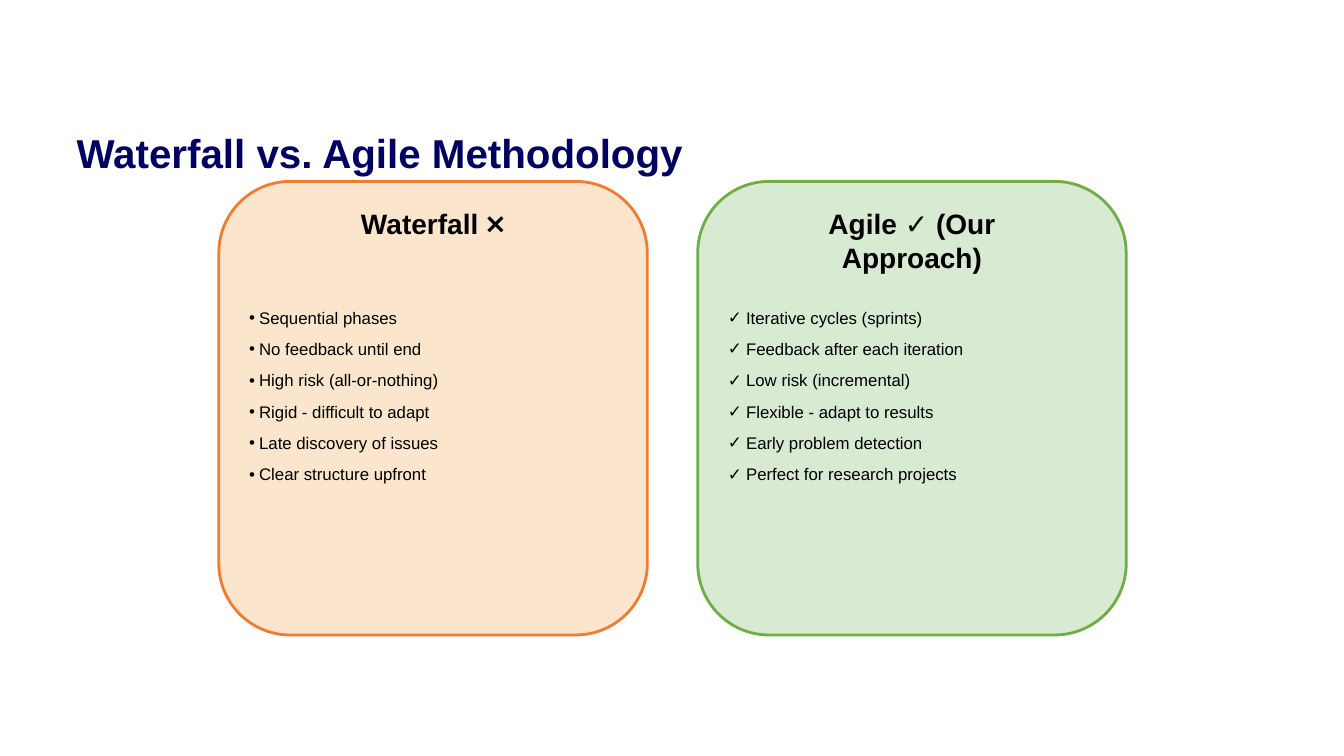
import pptx
import pptx.dml.color
import pptx.enum.shapes
import pptx.enum.text
import pptx.oxml
import pptx.oxml.ns
import pptx.util
from dataclasses import dataclass

Inches, Pt = pptx.util.Inches, pptx.util.Pt
RGB = pptx.dml.color.RGBColor.from_string
ALIGN = pptx.enum.text.PP_ALIGN
ANCHOR = pptx.enum.text.MSO_ANCHOR


@dataclass(frozen=True)
class Theme:
    font: str = "Arial"
    navy: str = "000061"
    black: str = "000000"
    title_size: float = 28.8
    heading_size: float = 20
    list_size: float = 12


theme = Theme()

# Panel grid, in inches
PANEL_LEFT, PANEL_TOP = 2.17, 1.8
PANEL_W, PANEL_H = 4.25, 4.5
PANEL_STEP = PANEL_W + 0.5

# heading, fill, line, bullet, hanging indent, items
methods = [
    ("Waterfall ❌", "FCE5CD", "ED7D31", "•", 0.1, [
        "Sequential phases",
        "No feedback until end",
        "High risk (all-or-nothing)",
        "Rigid - difficult to adapt",
        "Late discovery of issues",
        "Clear structure upfront",
    ]),
    ("Agile ✓ (Our Approach)", "D9EAD3", "70AD47", "✓", 0.18, [
        "Iterative cycles (sprints)",
        "Feedback after each iteration",
        "Low risk (incremental)",
        "Flexible - adapt to results",
        "Early problem detection",
        "Perfect for research projects",
    ]),
]


def fill_placeholder(sp, box, lines, size, color, bold, align, anchor):
    """Place a placeholder at box (inches) and write one paragraph per line."""
    sp.left, sp.top, sp.width, sp.height = map(Inches, box)
    tf = sp.text_frame
    tf.text = "\n".join(lines)
    tf.word_wrap = True
    tf.auto_size = pptx.enum.text.MSO_AUTO_SIZE.NONE
    tf.vertical_anchor = anchor
    for p in tf.paragraphs:
        p.alignment = align
        p.line_spacing = 1.0
        p.space_before = Pt(0)
        for r in p.runs:
            r.font.name = theme.font
            r.font.size = Pt(size)
            r.font.bold = bold
            r.font.color.rgb = RGB(color)
    return tf


def set_bullet(p, char, indent):
    pPr = p._p.get_or_add_pPr()
    pPr.set("marL", str(Inches(indent)))
    pPr.set("indent", str(-Inches(indent)))
    ns = pptx.oxml.ns.nsdecls("a")
    pPr.append(pptx.oxml.parse_xml(f'<a:buFont {ns} typeface="{theme.font}"/>'))
    pPr.append(pptx.oxml.parse_xml(f'<a:buChar {ns} char="{char}"/>'))


prs = pptx.Presentation()
prs.slide_width, prs.slide_height = Inches(13.33), Inches(7.5)
slide = prs.slides.add_slide(prs.slide_layouts.get_by_name("Comparison"))
holders = {sp.placeholder_format.idx: sp for sp in slide.placeholders}

tf = fill_placeholder(holders[0], (0.66, 1.2, 12.02, 0.62),
                      ["Waterfall vs. Agile Methodology"], theme.title_size,
                      theme.navy, True, ALIGN.LEFT, ANCHOR.MIDDLE)
tf.margin_top = Inches(0.12)
tf.paragraphs[0].line_spacing = 0.9

for col, (heading, fill, line, bullet, indent, items) in enumerate(methods):
    left = PANEL_LEFT + col * PANEL_STEP
    panel = slide.shapes.add_shape(
        pptx.enum.shapes.MSO_SHAPE.ROUNDED_RECTANGLE,
        Inches(left), Inches(PANEL_TOP), Inches(PANEL_W), Inches(PANEL_H))
    panel.shadow.inherit = False
    panel.fill.solid()
    panel.fill.fore_color.rgb = RGB(fill)
    panel.line.color.rgb = RGB(line)
    panel.line.width = Pt(2)
    # Panels lie behind the placeholders that hold their text
    holders[1]._element.addprevious(panel._element)

    fill_placeholder(holders[1 + 2 * col],
                     (left + 0.5, PANEL_TOP + 0.2, PANEL_W - 1, 0.8),
                     [heading], theme.heading_size, theme.black, True,
                     ALIGN.CENTER, ANCHOR.TOP)

    tf = fill_placeholder(holders[2 + 2 * col],
                          (left + 0.2, PANEL_TOP + 1.2, PANEL_W - 0.4, 2),
                          items, theme.list_size, theme.black, False,
                          ALIGN.LEFT, ANCHOR.TOP)
    for p in tf.paragraphs:
        p.space_after = Pt(8)
        set_bullet(p, bullet, indent)

prs.save("out.pptx")
